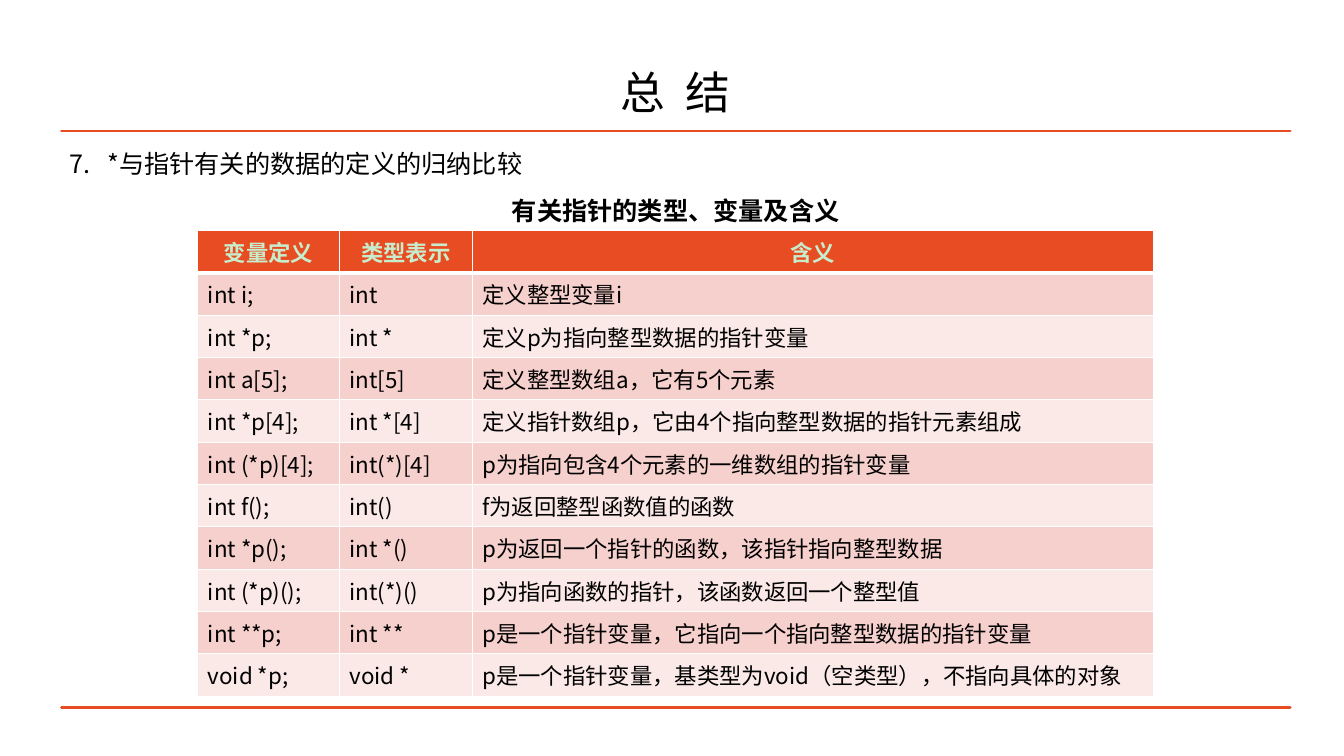
from pptx import Presentation
from pptx.dml.color import RGBColor
from pptx.enum.text import MSO_ANCHOR, PP_ALIGN
from pptx.oxml import parse_xml
from pptx.oxml.ns import nsdecls, qn
from pptx.util import Pt

TOP, MIDDLE = MSO_ANCHOR.TOP, MSO_ANCHOR.MIDDLE
CENTER, LEFT, JUSTIFY = PP_ALIGN.CENTER, PP_ALIGN.LEFT, PP_ALIGN.JUSTIFY
FACE = "Noto Sans CJK SC"
BLACK, WHITE, ORANGE, MINT = "000000", "FFFFFF", "E84C22", "C7EDCC"
BANDS = ["F6D0CD", "FBE9E8"]


def rgb(code):
    return RGBColor.from_string(code)


def write(frame, text, size, align=LEFT, color=BLACK, bold=False):
    """Fill a text frame with one styled paragraph and return it."""
    frame.word_wrap = True
    para = frame.paragraphs[0]
    para.text = text
    para.alignment = align
    font = para.font
    font.name, font.size, font.bold = FACE, Pt(size), bold
    font.color.rgb = rgb(color)
    latin = para._p.pPr.find(qn("a:defRPr")).find(qn("a:latin"))
    latin.addnext(parse_xml(f'<a:ea {nsdecls("a")} typeface="{FACE}"/>'))
    return para


deck = Presentation()
deck.slide_width, deck.slide_height = Pt(960), Pt(540)
slide = deck.slides.add_slide(deck.slide_layouts[6])
slide.background.fill.solid()
slide.background.fill.fore_color.rgb = rgb(WHITE)
shapes = slide.shapes

# Title
title = shapes.add_textbox(Pt(43.9), Pt(15.8), Pt(877.7), Pt(104.4)).text_frame
title.vertical_anchor = MIDDLE
write(title, "总  结", 32, CENTER).line_spacing = 0.9

# Frame of two rules that holds the numbered point
left, right, upper, lower = Pt(43.9), Pt(921.6), Pt(93.6), Pt(505.5)
pen = shapes.build_freeform(left, lower)
pen.add_line_segments([(right, lower)])
pen.move_to(left, upper)
pen.add_line_segments([(right, upper)])
rules = pen.convert_to_shape()
rules.shadow.inherit = False
rules.fill.background()
rules.line.color.rgb = rgb(ORANGE)
rules.line.width = Pt(2)

point = rules.text_frame
point.vertical_anchor = TOP
point.margin_left = point.margin_right = Pt(5.76)
point.margin_top = point.margin_bottom = Pt(5.76)
para = write(point, "*与指针有关的数据的定义的归纳比较", 18, JUSTIFY)
para.line_spacing = 1.3
props = para._p.pPr
props.set("marL", str(Pt(27)))
props.set("indent", str(Pt(-27)))
props.find(qn("a:defRPr")).addprevious(parse_xml(
    f'<a:buAutoNum {nsdecls("a")} type="arabicPeriod" startAt="7"/>'))

# Table of pointer definitions
rows = [
    ("变量定义", "类型表示", "含义"),
    ("int i;", "int", "定义整型变量i"),
    ("int *p;", "int *", "定义p为指向整型数据的指针变量"),
    ("int a[5];", "int[5]", "定义整型数组a，它有5个元素"),
    ("int *p[4];", "int *[4]", "定义指针数组p，它由4个指向整型数据的指针元素组成"),
    ("int (*p)[4];", "int(*)[4]", "p为指向包含4个元素的一维数组的指针变量"),
    ("int f();", "int()", "f为返回整型函数值的函数"),
    ("int *p();", "int *()", "p为返回一个指针的函数，该指针指向整型数据"),
    ("int (*p)();", "int(*)()", "p为指向函数的指针，该函数返回一个整型值"),
    ("int **p;", "int **", "p是一个指针变量，它指向一个指向整型数据的指针变量"),
    ("void *p;", "void *", "p是一个指针变量，基类型为void（空类型），不指向具体的对象"),
]
pitch = 30.25
table = shapes.add_table(len(rows), 3, Pt(141.3), Pt(164.6),
                         Pt(682.6), Pt(pitch * len(rows))).table
for column, width in zip(table.columns, (101.2, 94.9, 486.5)):
    column.width = Pt(width)
for r, row in enumerate(rows):
    table.rows[r].height = Pt(pitch)
    head = r == 0
    for c, text in enumerate(row):
        cell = table.cell(r, c)
        if head:
            write(cell.text_frame, text, 16, CENTER, MINT, True)
        else:
            write(cell.text_frame, text, 16)
        cell.fill.solid()
        cell.fill.fore_color.rgb = rgb(ORANGE if head else BANDS[(r - 1) % 2])
        for i, side in enumerate("LRTB"):
            thick = (r, side) in ((0, "B"), (1, "T"))
            cell._tc.tcPr.insert(i, parse_xml(
                f'<a:ln{side} {nsdecls("a")} w="{Pt(3 if thick else 1)}">'
                f'<a:solidFill><a:srgbClr val="{WHITE}"/></a:solidFill>'
                f'</a:ln{side}>'))

# Table caption
caption = shapes.add_textbox(Pt(303.8), Pt(135.7), Pt(357.8), Pt(29)).text_frame
write(caption, "有关指针的类型、变量及含义", 18, CENTER, bold=True)

deck.save("out.pptx")
